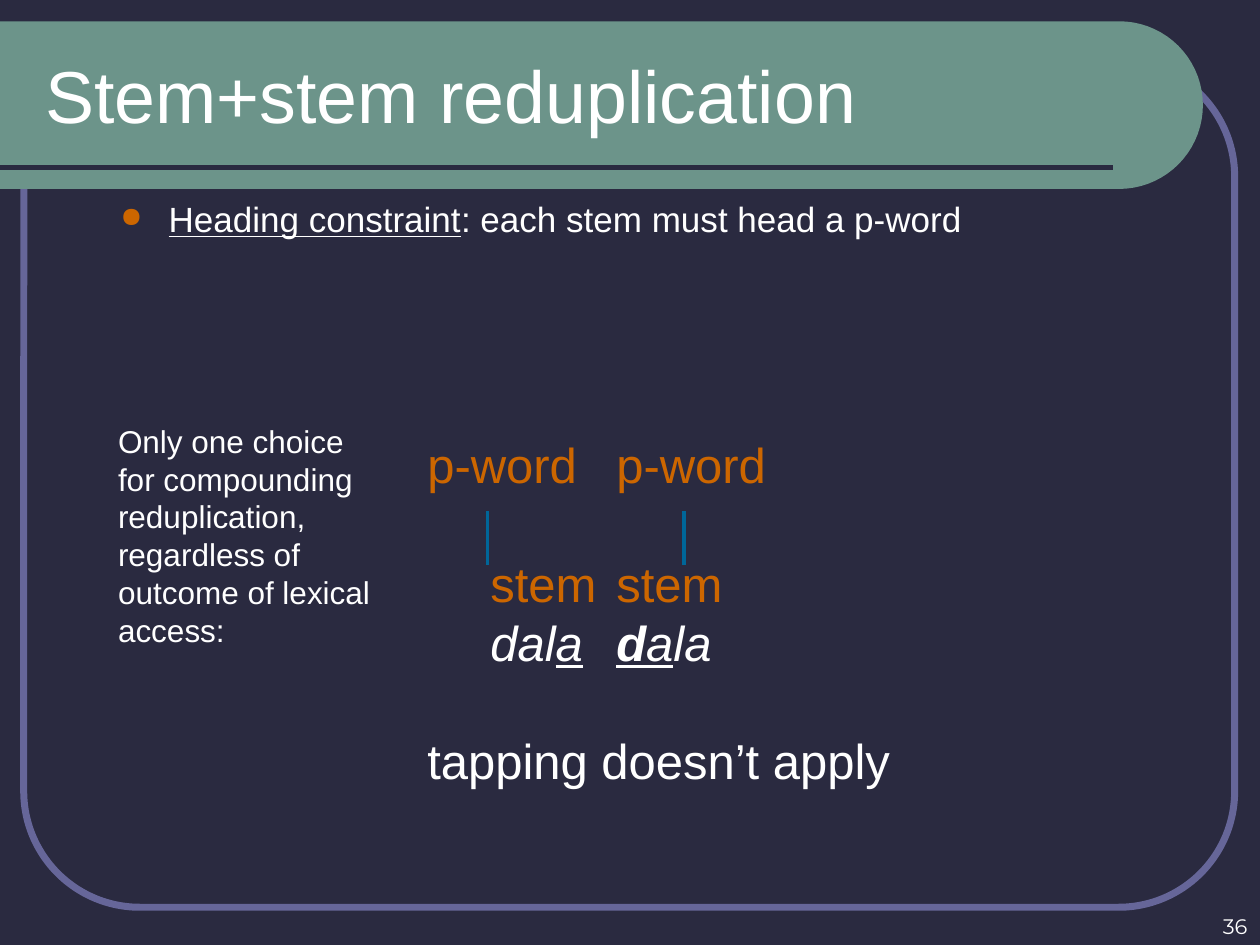
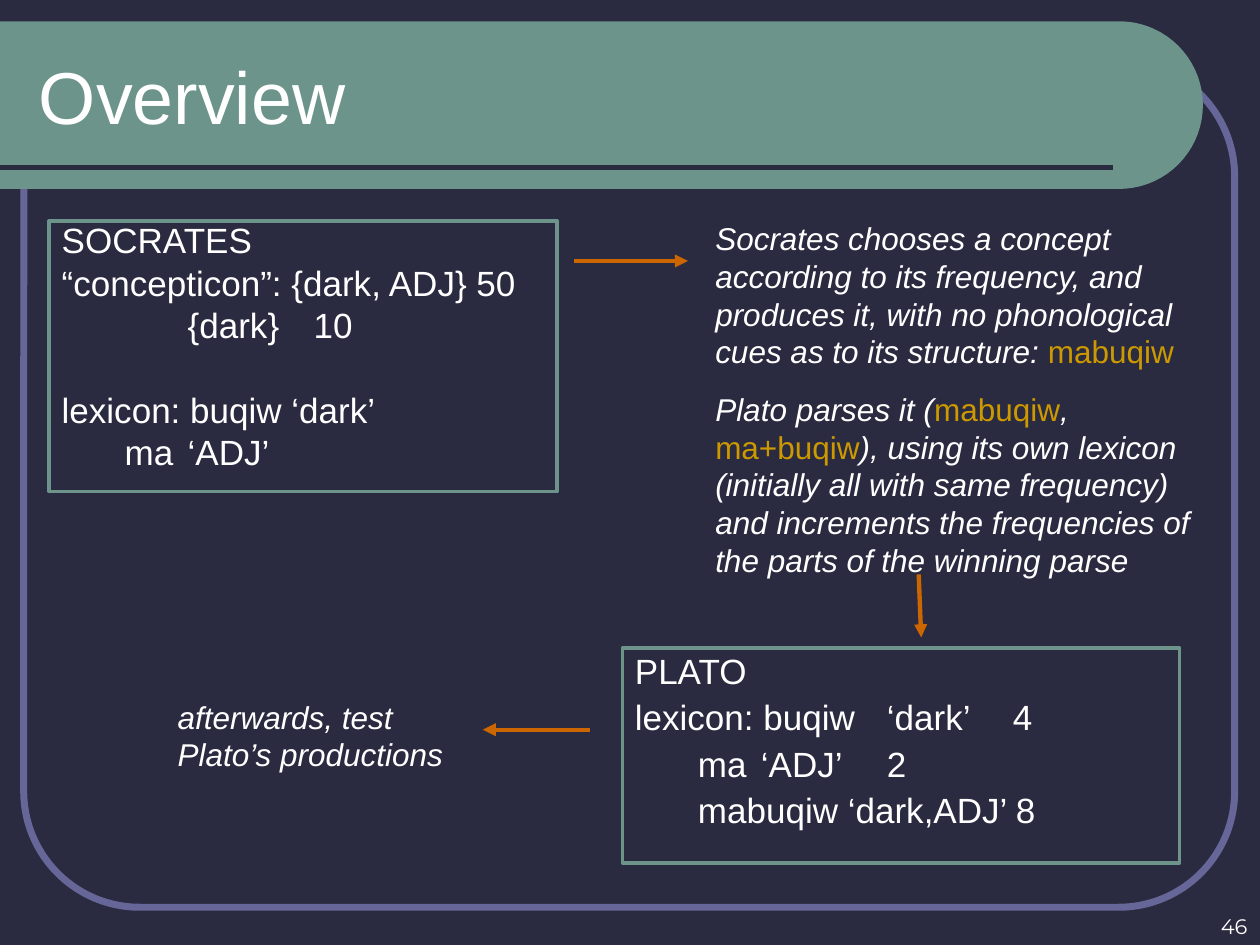
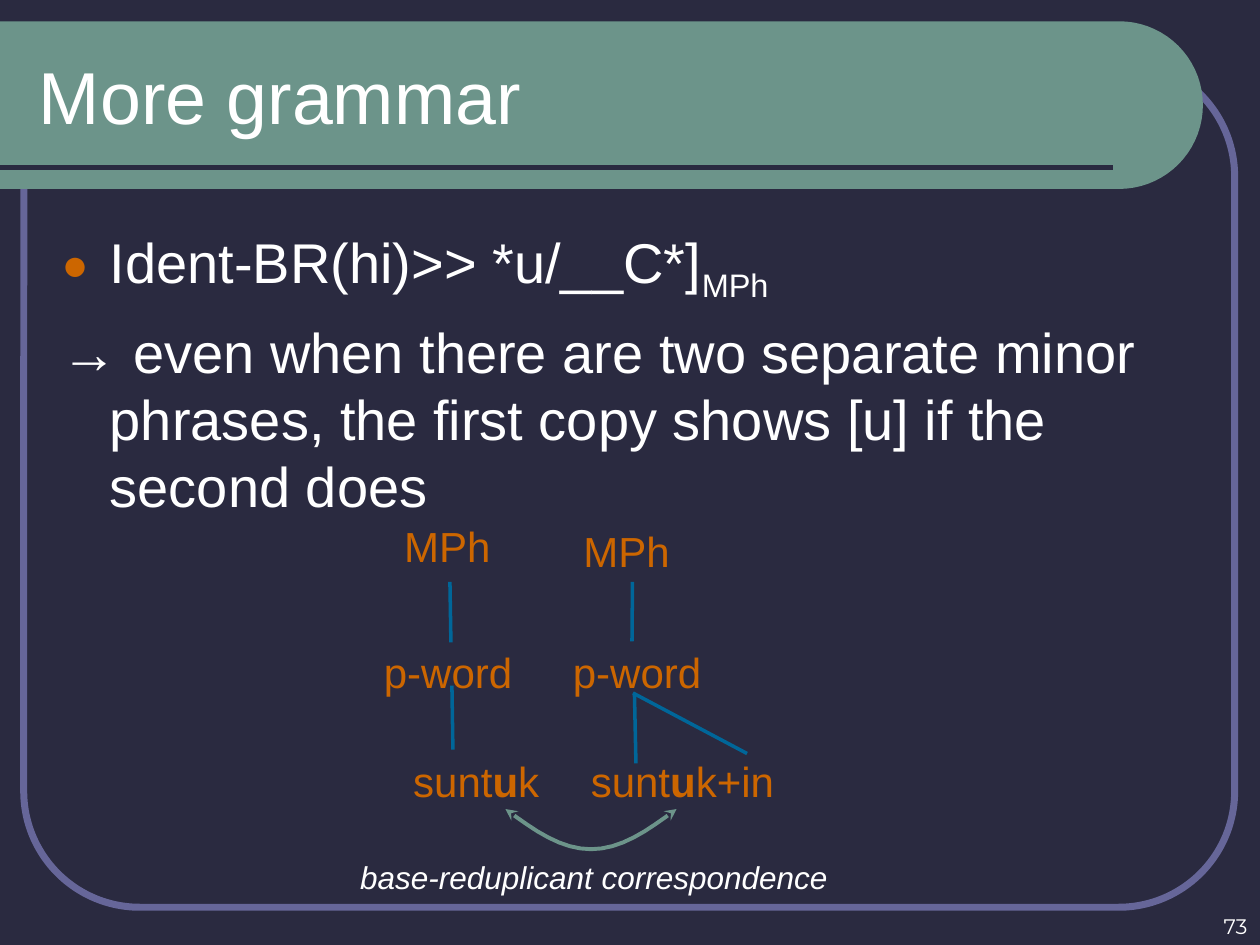
import math

import pptx
import pptx.dml.color
import pptx.enum.shapes
import pptx.enum.text
import pptx.oxml
import pptx.oxml.ns
import pptx.util

Cm, Pt = pptx.util.Cm, pptx.util.Pt
RGBColor = pptx.dml.color.RGBColor
qn = pptx.oxml.ns.qn
MSO_SHAPE = pptx.enum.shapes.MSO_SHAPE
ALIGN = pptx.enum.text.PP_ALIGN
ANCHOR = pptx.enum.text.MSO_ANCHOR

NIGHT = RGBColor(0x2A, 0x2A, 0x40)
SAGE = RGBColor(0x6C, 0x94, 0x8A)
VIOLET = RGBColor(0x66, 0x66, 0x99)
ORANGE = RGBColor(0xCC, 0x66, 0x00)
GOLD = RGBColor(0xCC, 0x99, 0x00)
BLUE = RGBColor(0x00, 0x66, 0x99)
WHITE = RGBColor(0xFF, 0xFF, 0xFF)

HANG = {"marL": Cm(0.97), "indent": Cm(-0.97)}
BOLD = {"bold": True}
UNDER = {"underline": True}
FORM = {"color": GOLD, "italic": False}


def write(shape, box, paragraphs, anchor=ANCHOR.TOP, para=None, **font):
    """Place a text shape; a paragraph is (options, run, ...), a run is text or (text, font)."""
    shape.left, shape.top, shape.width, shape.height = [Cm(v) for v in box]
    tf = shape.text_frame
    for name, value in {"word_wrap": True, "vertical_anchor": anchor,
                        "auto_size": pptx.enum.text.MSO_AUTO_SIZE.NONE}.items():
        setattr(tf, name, value)
    for i, (options, *runs) in enumerate(paragraphs):
        p = tf.add_paragraph() if i else tf.paragraphs[0]
        options = {"alignment": ALIGN.LEFT, "space_before": Pt(0), "line_spacing": 1.0,
                   "level_indent": {"marL": 0, "indent": 0}, "bullet": False, "tabs": [],
                   **(para or {}), **options}
        for name in ("alignment", "space_before", "line_spacing"):
            setattr(p, name, options[name])
        pPr = p._p.get_or_add_pPr()
        for name, value in options["level_indent"].items():
            pPr.set(name, str(int(value)))
        if options["bullet"]:
            color = pptx.oxml.ns.qn("a:srgbClr")
            bullet = pPr.makeelement(qn("a:buClr"), {})
            bullet.append(bullet.makeelement(color, {"val": str(ORANGE)}))
            pPr.append(bullet)
            pPr.append(pPr.makeelement(qn("a:buSzPct"), {"val": "80000"}))
            pPr.append(pPr.makeelement(qn("a:buChar"), {"char": "●"}))
        else:
            pPr.append(pPr.makeelement(qn("a:buNone"), {}))
        if options["tabs"]:
            stops = pPr.makeelement(qn("a:tabLst"), {})
            for stop in options["tabs"]:
                stops.append(stops.makeelement(qn("a:tab"), {"pos": str(int(Cm(stop))), "algn": "l"}))
            pPr.append(stops)
        for run in runs:
            text, own = (run, {}) if isinstance(run, str) else run
            r = p.add_run()
            r.text = text
            style = {"name": "Arial", "size": 18, "color": WHITE, **font, **own}
            r.font.color.rgb = style.pop("color")
            r.font.size = Pt(style.pop("size"))
            if style.pop("subscript", False):
                r.font._element.set("baseline", "-25000")
            for name, value in style.items():
                setattr(r.font, name, value)
    return tf


def add_line(s, start, end, color, width, arrow=False):
    line = s.shapes.add_connector(pptx.enum.shapes.MSO_CONNECTOR.STRAIGHT,
                                  *[Cm(v) for v in (*start, *end)])
    line.line.color.rgb = color
    line.line.width = Pt(width)
    spPr = line._element.spPr
    if arrow:
        ln = spPr.find(qn("a:ln"))
        ln.append(ln.makeelement(qn("a:tailEnd"), {"type": "triangle"}))
    spPr.append(spPr.makeelement(qn("a:effectLst"), {}))
    return line


prs = pptx.Presentation()
prs.slide_width, prs.slide_height = Cm(25.4), Cm(19.05)

# Slides with title and page number
TITLE_BOX = (0.53, 0.64, 22.28, 2.54)
slides = []
for title, box, number in (("Stem+stem reduplication", (0.66, 0.76, 22.02, 2.29), "36"),
                           ("Overview", TITLE_BOX, "46"),
                           ("More grammar", TITLE_BOX, "73")):
    s = prs.slides.add_slide(prs.slide_layouts[1])
    write(s.shapes.title, box, [({}, title)], ANCHOR.MIDDLE, size=42)
    write(s.shapes.add_textbox(0, 0, 0, 0), (19.48, 17.78, 5.92, 1.27), [({}, number)],
          ANCHOR.BOTTOM, {"alignment": ALIGN.RIGHT}, size=12, name="Montserrat")
    slides.append(s)

# Master: background, frame, title band with rounded end, rule
master = prs.slide_master
master.background.fill.solid()
master.background.fill.fore_color.rgb = NIGHT
s = slides[0]

frame = s.shapes.add_shape(MSO_SHAPE.ROUNDED_RECTANGLE, Cm(0.48), Cm(1.22), Cm(24.41), Cm(17.07))
frame.adjustments[0] = 0.137
frame.fill.background()
frame.line.color.rgb = VIOLET
frame.line.width = Pt(4)

radius, center_x, center_y = 1.69, 22.56, 2.12
outline = [(center_x + radius * math.cos(math.radians(a)), center_y + radius * math.sin(math.radians(a)))
           for a in range(-90, 91, 5)]
outline.append((0, center_y + radius))
builder = s.shapes.build_freeform(0, Cm(center_y - radius))
builder.add_line_segments([(Cm(x), Cm(y)) for x, y in outline], close=True)
band = builder.convert_to_shape()
band.fill.solid()
band.fill.fore_color.rgb = SAGE
band.line.fill.background()

rule = add_line(s, (0, 3.38), (22.43, 3.38), NIGHT, 3)
for shape in (frame, band):
    shape.shadow.inherit = False
for i, shape in enumerate((frame, band, rule)):
    master.shapes._spTree.insert(2 + i, shape._element)

# Slide 1: prosodic tree
tf = write(s.placeholders[1], (8.36, 6.48, 15.95, 9.86), [
    ({"tabs": [3.83]}, ("p-word\tp-word", {"color": ORANGE})),
    ({"tabs": [0.27, 4.6], "space_before": Pt(40.8)}, ("\tstem\tstem", {"color": ORANGE})),
    ({"tabs": [0.27, 4.31]}, "\t", ("dal", {"italic": True}), ("a\t", {"italic": True, **UNDER}),
     ("d", {"italic": True, **BOLD, **UNDER}), ("a", {"italic": True, **UNDER}),
     ("la", {"italic": True})),
    ({"space_before": Pt(40.8)}, "tapping doesn’t apply"),
], para={"line_spacing": 0.8, "space_before": Pt(7)}, size=28)
tf.margin_top = Cm(2.51)

write(s.shapes.add_textbox(0, 0, 0, 0), (2.18, 3.86, 20.96, 2.54),
      [({}, ("Heading constraint", UNDER), ": each stem must head a p-word")],
      para={"level_indent": HANG, "bullet": True}, size=20)
write(s.shapes.add_textbox(0, 0, 0, 0), (2.13, 8.38, 5.72, 4.83),
      [({}, "Only one choice for compounding reduplication, regardless of outcome of lexical access:")])
for x in (9.83, 13.79):
    add_line(s, (x, 10.31), (x, 11.38), BLUE, 2)

# Slide 2: the two agents and the flow between them
s = slides[1]
socrates = s.placeholders[1]
write(socrates, (0.99, 4.45, 10.24, 5.46), [
    ({}, "SOCRATES"),
    ({}, "“concepticon”: {dark, ADJ} 50"),
    ({}, "\t\t{dark}\t10"),
    ({"space_before": Pt(29.1)}, "lexicon: buqiw ‘dark’"),
    ({}, "\tma\t‘ADJ’"),
], para={"line_spacing": 0.8, "space_before": Pt(5), "tabs": [2.54, 4.7, 8.41]}, size=20)
plato = s.shapes.add_textbox(0, 0, 0, 0)
write(plato, (12.55, 13.06, 11.23, 4.34), [
    ({}, "PLATO"),
    ({}, "lexicon: buqiw\t‘dark’\t4"),
    ({}, "\tma\t‘ADJ’\t2"),
    ({}, "\tmabuqiw ‘dark,ADJ’ 8"),
], para={"line_spacing": 0.9, "space_before": Pt(5), "tabs": [2.54, 5.48, 8.81]}, size=20)
for box in (socrates, plato):
    box.line.color.rgb = SAGE
    box.line.width = Pt(2)

write(s.shapes.add_textbox(0, 0, 0, 0), (14.17, 4.29, 10.36, 7.52), [
    ({}, "Socrates chooses a concept according to its frequency, and produces it, "
     "with no phonological cues as to its structure: ", ("mabuqiw", FORM)),
    ({}, "Plato parses it (", ("mabuqiw", FORM), ", ", ("ma+buqiw", FORM),
     "), using its own lexicon (initially all with same frequency) and increments "
     "the frequencies of the parts of the winning parse"),
], para={"space_before": Pt(11.2)}, italic=True)
write(s.shapes.add_textbox(0, 0, 0, 0), (3.33, 13.94, 5.89, 1.78),
      [({}, "afterwards, test Plato’s productions")], italic=True)
for start, end in (((11.58, 5.26), (13.87, 5.26)),
                   ((18.52, 11.58), (18.57, 12.85)),
                   ((11.89, 14.71), (9.73, 14.71))):
    add_line(s, start, end, ORANGE, 2.5, arrow=True)

# Slide 3: ranking and its consequence
s = slides[2]
write(s.placeholders[1], (0.99, 4.45, 23.39, 13.21), [
    ({"bullet": True}, "Ident-BR(hi)>> *u/__C*]", ("MPh", {"subscript": True})),
    ({}, "→ even when there are two separate minor phrases, "
     "the first copy shows [u] if the second does"),
], para={"level_indent": HANG, "space_before": Pt(8)}, size=32)

# Two phrase trees
for x, y, width, runs in ((7.49, 12.9, 7.09, ["p-word\tp-word"]),
                          (7.9, 10.36, 3.18, ["MPh"]),
                          (11.51, 10.46, 3.18, ["MPh"]),
                          (8.08, 15.11, 3.18, ["sunt", ("u", BOLD), "k"]),
                          (11.66, 15.11, 6.22, ["sunt", ("u", BOLD), "k+in"])):
    write(s.shapes.add_textbox(0, 0, 0, 0), (x, y, width, 1.27), [({}, *runs)],
          para={"tabs": [3.29]}, size=24, color=ORANGE)
for start, end in (((9.07, 11.73), (9.09, 12.95)),
                   ((12.75, 11.73), (12.74, 12.93)),
                   ((9.11, 13.82), (9.13, 15.11)),
                   ((12.79, 14.0), (12.82, 15.39)),
                   ((12.76, 13.97), (15.06, 15.19))):
    add_line(s, start, end, BLUE, 2)

# Correspondence arc
left, top, width, depth, steps = 10.19, 16.31, 3.45, 0.81, 16
builder = s.shapes.build_freeform(Cm(left), Cm(top))
builder.add_line_segments([(Cm(left + width * i / steps), Cm(top + depth * math.sin(math.pi * i / steps)))
                           for i in range(1, steps + 1)], close=False)
arc = builder.convert_to_shape()
arc.shadow.inherit = False
arc.fill.background()
arc.line.color.rgb = SAGE
arc.line.width = Pt(2.25)
ln = arc._element.spPr.find(qn("a:ln"))
for end in ("a:headEnd", "a:tailEnd"):
    ln.append(ln.makeelement(qn(end), {"type": "stealth"}))
write(s.shapes.add_textbox(0, 0, 0, 0), (7.01, 17.17, 9.98, 1.02),
      [({}, "base-reduplicant correspondence")], italic=True)

prs.save("out.pptx")
